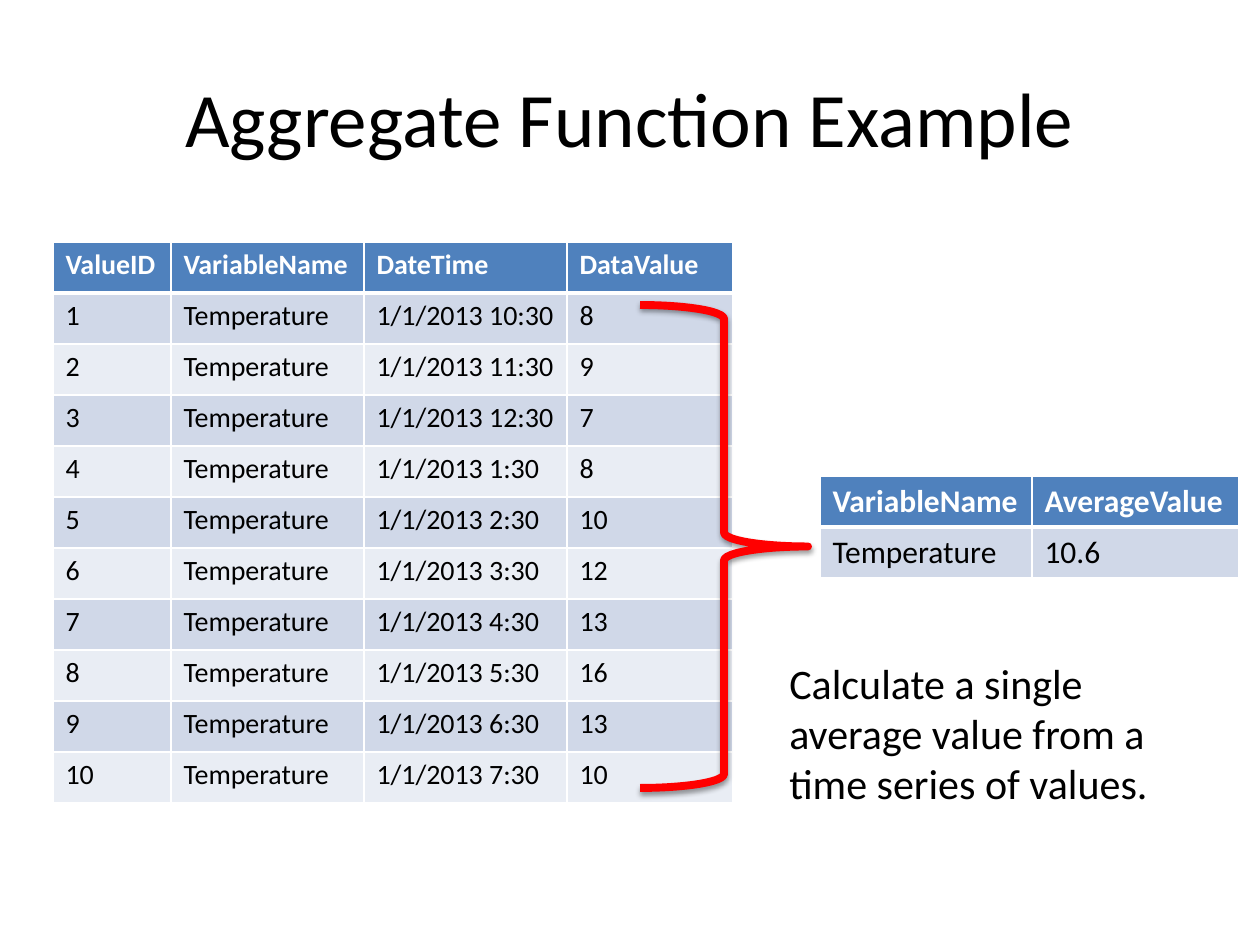
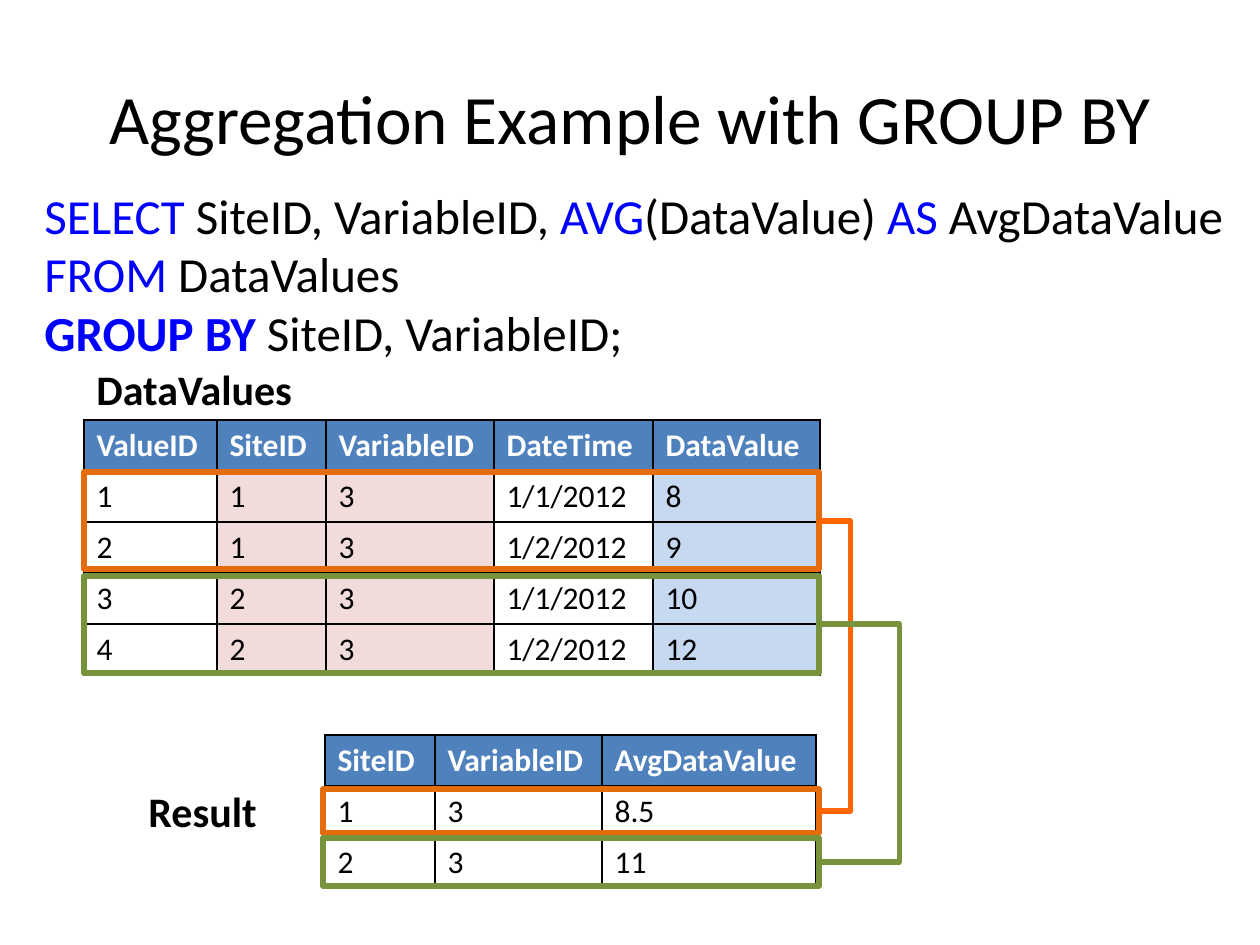
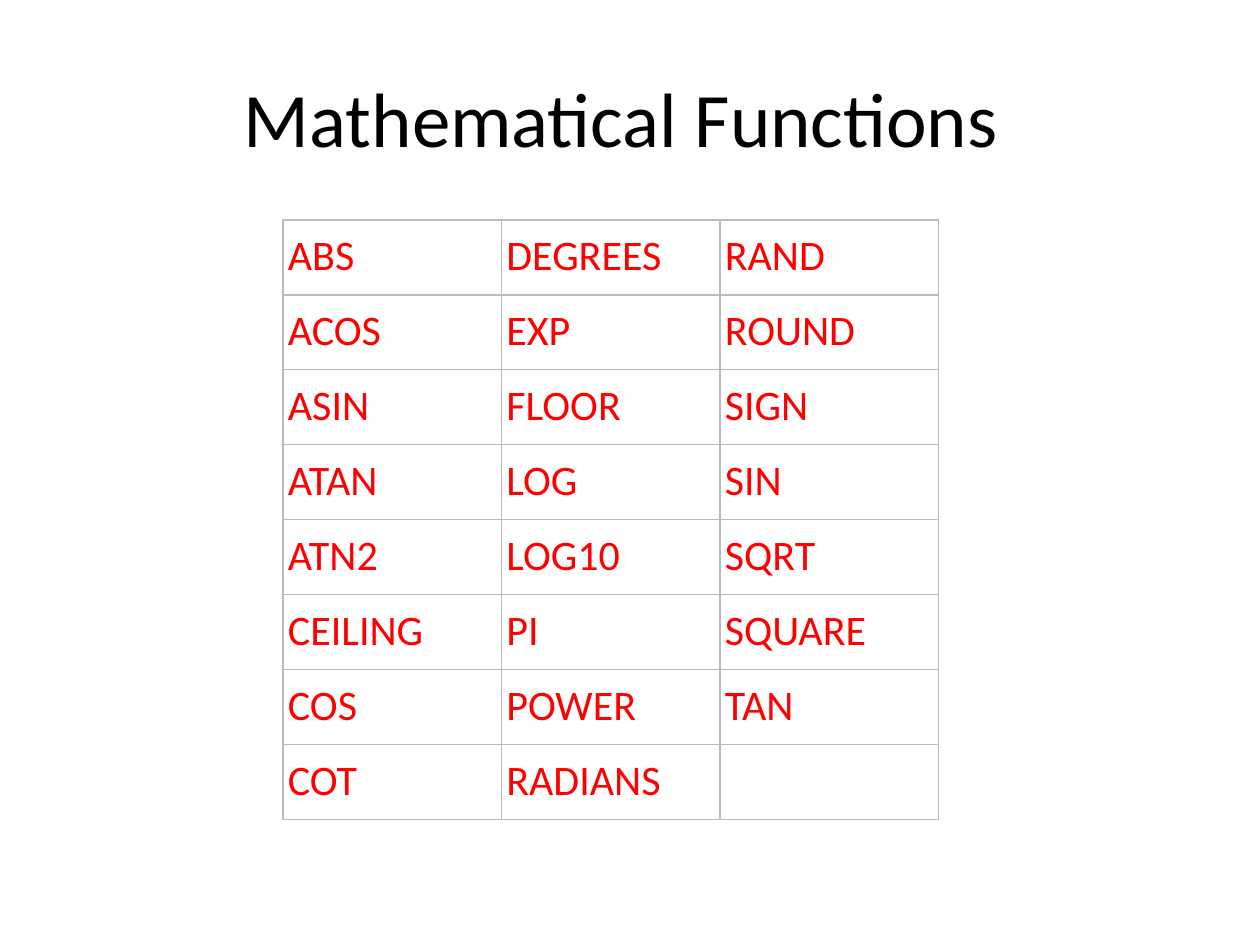
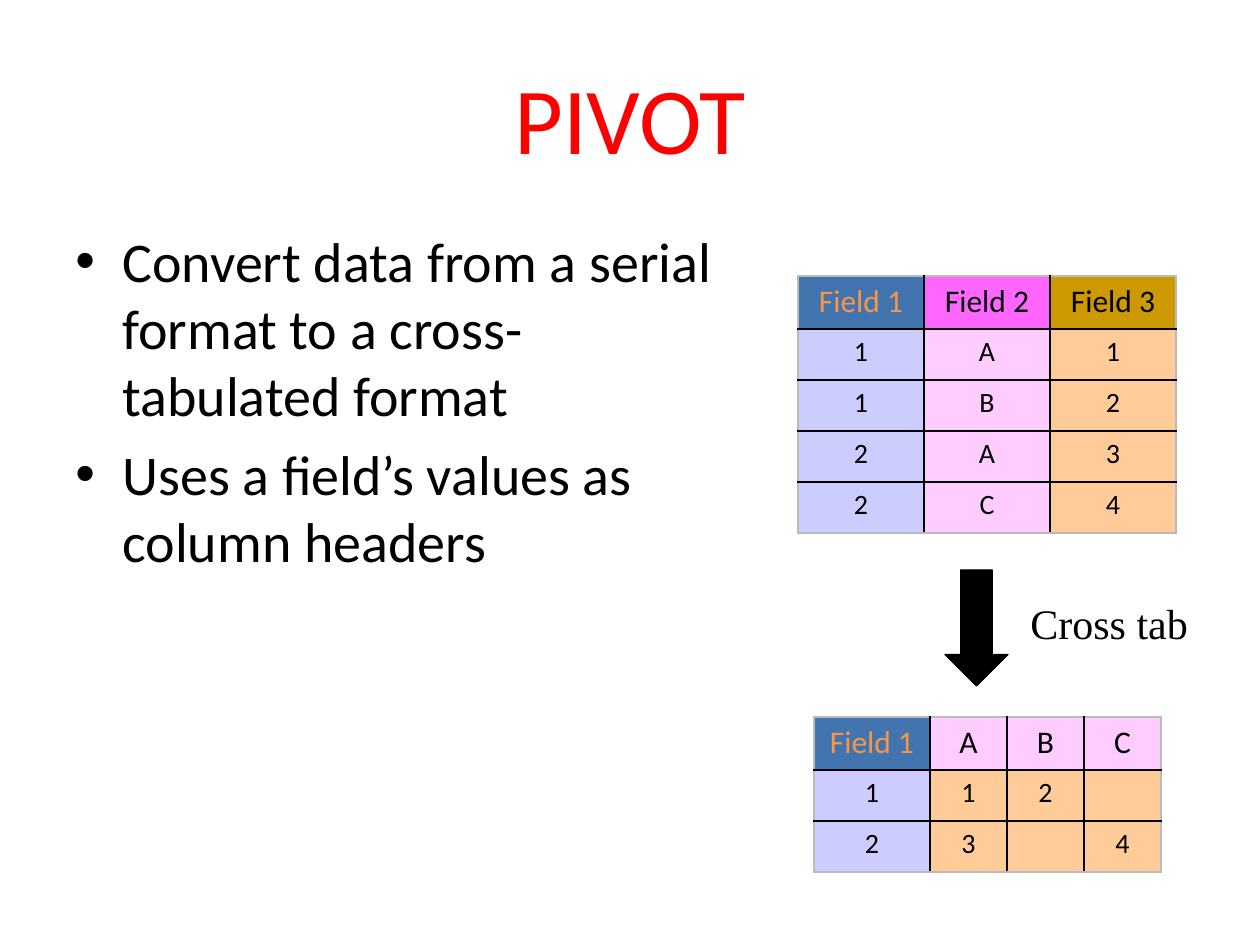
"""Build four slides on SQL aggregation, functions and pivot tables."""
from lxml.etree import SubElement as Sub
from pptx import Presentation
from pptx.dml.color import RGBColor as Rgb
from pptx.enum.shapes import MSO_CONNECTOR as Link, MSO_SHAPE as Kind
from pptx.enum.text import MSO_ANCHOR as Anchor, PP_ALIGN as Align
from pptx.oxml.ns import qn
from pptx.util import Emu, Pt

UNIT = 914400 / 126
THEME = {
    "ink": "000000", "white": "FFFFFF", "red": "FF0000", "key": "0000FF",
    "head": "4F81BD", "band": "D0D8E8", "pale": "E9EDF4",
    "rose": "F2DCDB", "sky": "C6D9F1", "gray": "BBBBBB",
    "rust": "E46C0A", "flame": "FF6600", "moss": "77933C",
    "steel": "4274AF", "amber": "F79646", "lilac": "CCCCFF", "pink": "FFCCFF",
    "rich": "FF66FF", "gold": "CC9900", "peach": "FFCC99",
    "font": "Calibri", "serif": "Times New Roman",
    "title": 44, "long": 39.6, "huge": 54, "list": 32, "code": 28,
    "note": 24, "cell": 18, "small": 16,
}


def write(frame, lines, align=Align.LEFT, size="cell", ink="ink", bold=False, font="font"):
    for i, line in enumerate(lines):
        para = frame.paragraphs[0] if i == 0 else frame.add_paragraph()
        para.alignment = align
        for text, form in line:
            run = para.add_run()
            run.text = text
            look = {"size": size, "ink": ink, "bold": bold, **form}
            run.font.color.rgb = Rgb.from_string(THEME[look["ink"]])
            for name, value in {"name": THEME[font], "size": Pt(THEME[look["size"]]),
                                "bold": look["bold"]}.items():
                setattr(run.font, name, value)


def grid(page, left, top, wide, tall, rows, paint, edge, pads=None):
    spot = [Emu(int(n * UNIT)) for n in (left, top, sum(wide), sum(tall))]
    table = page.shapes.add_table(len(rows), len(wide), *spot).table
    for name in ("first_row", "horz_banding"):
        setattr(table, name, False)
    for col, size in zip(table.columns, wide):
        col.width = Emu(int(size * UNIT))
    for r, row in enumerate(rows):
        table.rows[r].height = Emu(int(tall[r] * UNIT))
        for c, text in enumerate(row):
            cell = table.cell(r, c)
            fill, form = paint(r, c)
            rims = {"L": c == 0, "R": c == len(wide) - 1,
                    "T": r == 0, "B": r == len(rows) - 1}
            for side, outer in rims.items():
                part = "outer" if outer else "inner"
                if (r, side) in ((0, "B"), (1, "T")):
                    part = "head"
                color, width = edge.get(part, edge["inner"])
                rule = Sub(cell._tc.get_or_add_tcPr(), qn(f"a:ln{side}"), w=str(Pt(width)))
                Sub(Sub(rule, qn("a:solidFill")), qn("a:srgbClr"), val=THEME[color])
            if fill:
                cell.fill.solid()
                cell.fill.fore_color.rgb = Rgb.from_string(THEME[fill])
            else:
                cell.fill.background()
            for name, value in (pads or {}).items():
                setattr(cell, f"margin_{name}", Emu(int(value * UNIT)))
            if text:
                write(cell.text_frame, [[(text, {})]], **form)


deck = Presentation()
deck.slide_width, deck.slide_height = Emu(int(1260 * UNIT)), Emu(int(945 * UNIT))
one, two, three, four = [deck.slides.add_slide(deck.slide_layouts[6]) for _ in range(4)]

titles = [
    (one, "Aggregate Function Example", "title", "ink"),
    (two, "Aggregation Example with GROUP BY", "long", "ink"),
    (three, "Mathematical Functions ", "title", "ink"),
    (four, "PIVOT", "huge", "red"),
]
notes = [(page, (63, 38, 1134, 157), [[(text, {})]],
          {"size": size, "ink": ink, "align": Align.CENTER})
         for page, text, size, ink in titles]

bold = {"bold": True, "ink": "white"}
edge = {"inner": ("white", 1), "head": ("white", 3)}
counts = [8, 9, 7, 8, 10, 12, 13, 16, 13, 10]
hours = [10, 11, 12, *range(1, 8)]
rows = [["ValueID", "VariableName", "DateTime", "DataValue"]]
rows += [[str(i), "Temperature", f"1/1/2013 {hour}:30", str(count)]
         for i, (hour, count) in enumerate(zip(hours, counts), 1)]
bands = ["pale", "band"]
grid(one, 53, 242, [118, 193, 203, 166], [51] * 11, rows,
     lambda r, c: (bands[r % 2] if r else "head", {"size": "small", **(bold if r == 0 else {})}),
     edge)
grid(one, 820, 476, [212, 207], [51] * 2,
     [["VariableName", "AverageValue"], ["Temperature", "10.6"]],
     lambda r, c: ("band", {}) if r else ("head", bold), edge)
notes.append((one, (777, 651, 431, 165),
              [[("Calculate a single average value from a time series of values.", {})]],
              {"size": "note"}))

edge = {"inner": ("ink", 1)}
tints = [None, "rose", "rose", None, "sky"]
grid(two, 84, 420, [133, 109, 168, 159, 167], [51] * 5,
     [["ValueID", "SiteID", "VariableID", "DateTime", "DataValue"],
      ["1", "1", "3", "1/1/2012", "8"], ["2", "1", "3", "1/2/2012", "9"],
      ["3", "2", "3", "1/1/2012", "10"], ["4", "2", "3", "1/2/2012", "12"]],
     lambda r, c: (tints[c], {}) if r else ("head", bold), edge)
grid(two, 325, 735, [110, 167, 214], [51] * 3,
     [["SiteID", "VariableID", "AvgDataValue"], ["1", "3", "8.5"], ["2", "3", "11"]],
     lambda r, c: (None, {}) if r else ("head", bold), edge)
key = {"ink": "key"}
notes += [
    (two, (32, 179, 1250, 190), [
        [("SELECT ", key), ("SiteID, VariableID, ", {}), ("AVG", key),
         ("(DataValue) ", {}), ("AS ", key), ("AvgDataValue", {})],
        [("FROM ", key), ("DataValues", {})],
        [("GROUP BY ", {**key, "bold": True}), ("SiteID, VariableID;", {})],
    ], {"size": "code"}),
    (two, (84, 357, 231, 63), [[("DataValues", {})]], {"size": "note", "bold": True}),
    (two, (136, 779, 158, 63), [[("Result", {})]], {"size": "note", "bold": True}),
]

names = [
    ["ABS", "ACOS", "ASIN", "ATAN", "ATN2", "CEILING", "COS", "COT"],
    ["DEGREES", "EXP", "FLOOR", "LOG", "LOG10", "PI", "POWER", "RADIANS"],
    ["RAND", "ROUND", "SIGN", "SIN", "SQRT", "SQUARE", "TAN", ""],
]
grid(three, 283, 220, [218.5] * 3, [75] * 8, list(zip(*names)),
     lambda r, c: ("white", {"size": "note", "ink": "red"}), {"inner": ("gray", 0.75)},
     {"left": 5, "right": 5, "top": 11, "bottom": 11})

edge = {"inner": ("ink", 1), "outer": ("gray", 1)}
mid = {"align": Align.CENTER}
pivots = [
    (798, 276, [126] * 3, ["steel", "rich", "gold"], ["lilac", "pink", "peach"],
     [["Field 1", "Field 2", "Field 3"], ["1", "A", "1"], ["1", "B", "2"],
      ["2", "A", "3"], ["2", "C", "4"]]),
    (814, 717, [116, 77, 77, 77], ["steel"] + ["pink"] * 3, ["lilac"] + ["peach"] * 3,
     [["Field 1", "A", "B", "C"], ["1", "1", "2", ""], ["2", "3", "", "4"]]),
]
for left, top, wide, heads, fills, rows in pivots:
    grid(four, left, top, wide, [53] + [51] * (len(rows) - 1), rows,
         lambda r, c: (fills[c], {"size": "small", **mid}) if r
         else (heads[c], {"ink": "ink" if c else "amber", **mid}), edge)
points = ["Convert data from a serial format to a cross-tabulated format",
          "Uses a field’s values as column headers"]
notes += [
    (four, (63, 220, 672, 624), [[(text, {})] for text in points], {"size": "list"}),
    (four, (1018, 591, 199, 64), [[("Cross tab", {})]], {"size": "note", "font": "serif"}),
]

for page, spot, lines, form in notes:
    frame = page.shapes.add_textbox(*[Emu(int(n * UNIT)) for n in spot]).text_frame
    centred = form.get("align") == Align.CENTER
    for name, value in {"word_wrap": True,
                        "vertical_anchor": Anchor.MIDDLE if centred else Anchor.TOP}.items():
        setattr(frame, name, value)
    write(frame, lines, **form)
    if form["size"] == "list":
        for para in frame.paragraphs:
            para.space_before = Pt(6.4)
            props = para._p.get_or_add_pPr()
            for name, value in {"marL": 47, "indent": -47}.items():
                props.set(name, str(int(value * UNIT)))
            Sub(props, qn("a:buFont"), typeface="Arial")
            Sub(props, qn("a:buChar"), char="•")

shapes = [
    (one, Kind.RIGHT_BRACE, (640, 305, 168, 483), "red", 4.5),
    (two, Kind.RECTANGLE, (84, 472, 735, 97), "rust", 3),
    (two, Kind.RECTANGLE, (323, 789, 496, 44), "rust", 3),
    (two, Kind.RECTANGLE, (84, 576, 735, 97), "moss", 3),
    (two, Kind.RECTANGLE, (323, 838, 496, 48), "moss", 3),
    (four, Kind.DOWN_ARROW, (945, 570, 63, 116), "ink", 0.75),
]
for page, kind, spot, color, width in shapes:
    shape = page.shapes.add_shape(kind, *[Emu(int(n * UNIT)) for n in spot])
    shape.shadow.inherit = False
    shape.line.color.rgb = Rgb.from_string(THEME[color])
    shape.line.width = Pt(width)
    if kind == Kind.DOWN_ARROW:
        shape.fill.solid()
        shape.fill.fore_color.rgb = Rgb.from_string(THEME[color])
    else:
        shape.fill.background()
    if kind == Kind.RIGHT_BRACE:
        glow = Sub(shape._element.spPr.find(qn("a:effectLst")), qn("a:outerShdw"),
                   blurRad=str(Pt(3.1)), dist=str(Pt(1.6)), dir="5400000", rotWithShape="0")
        tone = Sub(glow, qn("a:srgbClr"), val=THEME["ink"])
        Sub(tone, qn("a:alpha"), val="38000")

links = [((819, 521), (817, 811), 851, "flame"), ((819, 624), (820, 862), 900, "moss")]
for start, end, turn, color in links:
    ends = [Emu(int(n * UNIT)) for n in start + end]
    link = two.shapes.add_connector(Link.ELBOW, *ends)
    link.line.color.rgb = Rgb.from_string(THEME[color])
    link.line.width = Pt(3)
    props = link._element.spPr
    bend = int((turn - start[0]) / (end[0] - start[0]) * 100000)
    guides = props.find(qn("a:prstGeom")).find(qn("a:avLst"))
    Sub(guides, qn("a:gd"), name="adj1", fmla=f"val {bend}")
    Sub(props, qn("a:effectLst"))

deck.save("out.pptx")
